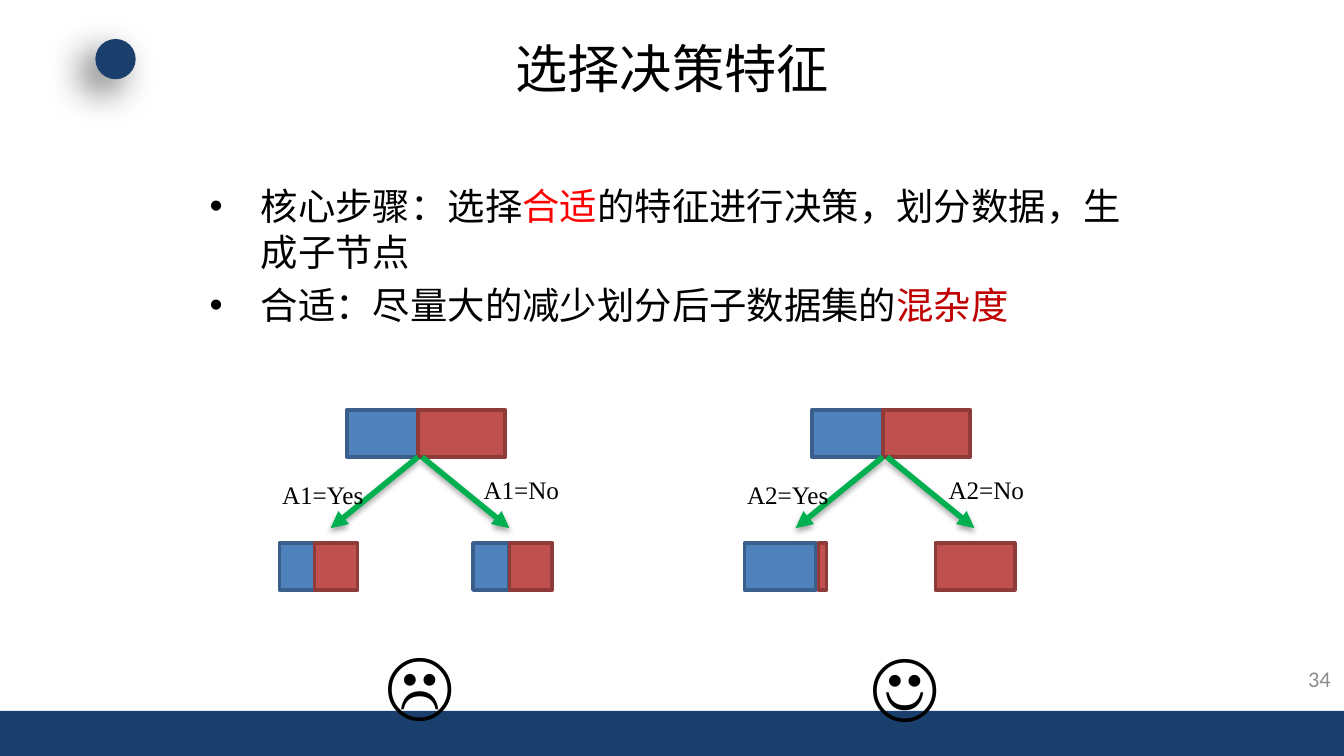
"""Build a slide on choosing the feature for a decision tree split."""
from dataclasses import dataclass

from lxml import etree
from pptx import Presentation
from pptx.dml.color import RGBColor
from pptx.enum.shapes import MSO_CONNECTOR, MSO_SHAPE
from pptx.enum.text import MSO_ANCHOR, MSO_AUTO_SIZE, PP_ALIGN
from pptx.oxml.ns import qn
from pptx.util import Inches, Pt

RECTANGLE, OVAL = MSO_SHAPE.RECTANGLE, MSO_SHAPE.OVAL
STRAIGHT = MSO_CONNECTOR.STRAIGHT
MIDDLE, TOP = MSO_ANCHOR.MIDDLE, MSO_ANCHOR.TOP
LEFT, CENTER, RIGHT = PP_ALIGN.LEFT, PP_ALIGN.CENTER, PP_ALIGN.RIGHT
NO_FIT = MSO_AUTO_SIZE.NONE
CELL = Inches(0.1)
COLUMNS, ROWS = 100, 56.25
BAR_ROWS = 3.5
CHINESE, LATIN, SERIF = "Noto Sans CJK SC", "Calibri", "Times New Roman"
COLORS = {
    "navy": "1A3F6C", "black": "000000", "grey": "8C8C8C",
    "bright red": "FF0000", "dark red": "C00000", "green": "00B050",
    "blue": "4F81BD", "blue edge": "3A5F8C",
    "red": "C0504D", "red edge": "8E3B39",
}


@dataclass(frozen=True)
class Area:
    column: float
    row: float
    columns: float
    rows: float

    def lengths(self) -> list[int]:
        return [round(n * CELL) for n in (self.column, self.row, self.columns, self.rows)]


@dataclass(frozen=True)
class Style:
    size: float
    font: str
    color: str = "black"
    align: PP_ALIGN = LEFT


@dataclass(frozen=True)
class Segment:
    color: str
    column: float
    columns: float


@dataclass(frozen=True)
class Shadow:
    blur: float
    distance: float
    degrees: int
    opacity: int


@dataclass(frozen=True)
class Tree:
    feature: str
    column: float
    children: tuple[Segment, ...]
    face: str
    face_area: Area


PARENT = (Segment("blue", 25.8, 5.3), Segment("red", 31.1, 6.5))
TREES = (
    Tree("A1", 0, (Segment("blue", 20.8, 2.7), Segment("red", 23.4, 3.2),
                   Segment("blue", 35.2, 2.7), Segment("red", 37.9, 3.2)),
         "☹", Area(27.7, 46.8, 6.8, 7.8)),
    Tree("A2", 34.6, (Segment("blue", 20.8, 5.3), Segment("red", 26.3, 0.6),
                      Segment("red", 35, 5.9)),
         "☺", Area(63.8, 46.9, 6.8, 7.8)),
)
BULLETS = (
    (("核心步骤：选择", "black"), ("合适", "bright red"),
     ("的特征进行决策，划分数据，生成子节点", "black")),
    (("合适：尽量大的减少划分后子数据集的", "black"), ("混杂度", "dark red")),
)


def rgb(name: str) -> RGBColor:
    return RGBColor.from_string(COLORS[name])


def add_shadow(shape, shadow: Shadow) -> None:
    effects = etree.SubElement(shape._element.spPr, qn("a:effectLst"))
    outer = etree.SubElement(
        effects, qn("a:outerShdw"), blurRad=str(Pt(shadow.blur)),
        dist=str(Pt(shadow.distance)), dir=str(shadow.degrees * 60000), rotWithShape="0")
    color = etree.SubElement(outer, qn("a:srgbClr"), val=COLORS["black"])
    etree.SubElement(color, qn("a:alpha"), val=str(shadow.opacity * 1000))


def add_block(page, kind: MSO_SHAPE, area: Area, fill: str, edge: str = ""):
    block = page.shapes.add_shape(kind, *area.lengths())
    block.fill.solid()
    block.fill.fore_color.rgb = rgb(fill)
    if edge:
        block.line.color.rgb = rgb(edge)
        block.line.width = Pt(2)
    else:
        block.line.fill.background()
    return block


def style_paragraph(para, style: Style) -> None:
    para.alignment = style.align
    para.font.size = Pt(style.size)
    para.font.name = style.font
    para.font.color.rgb = rgb(style.color)
    if style.font == CHINESE:
        defaults = para._p.pPr.find(qn("a:defRPr"))
        etree.SubElement(defaults, qn("a:ea"), typeface=style.font)


def place(box, area: Area, anchor: MSO_ANCHOR, wrap: bool) -> None:
    box.left, box.top, box.width, box.height = area.lengths()
    box.text_frame.word_wrap = wrap
    box.text_frame.auto_size = NO_FIT
    box.text_frame.vertical_anchor = anchor


def add_label(page, text: str, area: Area, style: Style, anchor: MSO_ANCHOR = TOP) -> None:
    box = page.shapes.add_textbox(*area.lengths())
    place(box, area, anchor, wrap=style.align == RIGHT)
    para = box.text_frame.paragraphs[0]
    para.text = text
    style_paragraph(para, style)


def add_arrow(page, start: float, end: float) -> None:
    ends = [round(n * CELL) for n in (start, 34, end, 39.3)]
    arrow = page.shapes.add_connector(STRAIGHT, *ends)
    arrow.line.color.rgb = rgb("green")
    arrow.line.width = Pt(3)
    etree.SubElement(arrow.line._get_or_add_ln(), qn("a:tailEnd"), type="triangle")
    add_shadow(arrow, Shadow(3.1, 1.8, 90, 35))


def add_segments(page, segments: tuple[Segment, ...], column: float, row: float) -> None:
    for segment in segments:
        area = Area(column + segment.column, row, segment.columns, BAR_ROWS)
        block = add_block(page, RECTANGLE, area, segment.color, f"{segment.color} edge")
        block.shadow.inherit = False


def add_tree(page, tree: Tree) -> None:
    label = Style(13.5, SERIF)
    add_segments(page, PARENT, tree.column, 30.5)
    add_arrow(page, tree.column + 31.1, tree.column + 24.6)
    add_arrow(page, tree.column + 31.4, tree.column + 37.9)
    add_segments(page, tree.children, tree.column, 40.4)
    add_label(page, f"{tree.feature}=Yes", Area(tree.column + 20, 35.2, 8.2, 3.3), label)
    add_label(page, f"{tree.feature}=No", Area(tree.column + 35, 34.8, 7.7, 3.3), label)
    add_label(page, tree.face, tree.face_area, Style(40.5, LATIN))


def fill_title(title) -> None:
    place(title, Area(5, 2.3, 90, 5.5), MIDDLE, wrap=True)
    para = title.text_frame.paragraphs[0]
    para.text = "选择决策特征"
    style_paragraph(para, Style(28, CHINESE, align=CENTER))


def fill_body(body) -> None:
    place(body, Area(14.6, 13.1, 71.2, 37.1), TOP, wrap=True)
    frame = body.text_frame
    for index, spans in enumerate(BULLETS):
        para = frame.add_paragraph() if index else frame.paragraphs[0]
        para.line_spacing = Pt(24.4)
        para.space_before = Pt(4 if index else 0)
        properties = para._p.get_or_add_pPr()
        properties.set("marL", str(Inches(0.38)))
        properties.set("indent", str(-Inches(0.38)))
        etree.SubElement(properties, qn("a:buFont"), typeface="Arial")
        etree.SubElement(properties, qn("a:buChar"), char="•")
        style_paragraph(para, Style(20, CHINESE))
        for text, color in spans:
            span = para.add_run()
            span.text = text
            span.font.color.rgb = rgb(color)


def main() -> None:
    deck = Presentation()
    deck.slide_width, deck.slide_height = round(COLUMNS * CELL), round(ROWS * CELL)
    page = deck.slides.add_slide(deck.slide_layouts[1])
    footer = add_block(page, RECTANGLE, Area(0, 52.9, COLUMNS, ROWS - 52.9), "navy")
    footer.shadow.inherit = False
    dot = add_block(page, OVAL, Area(7.1, 2.9, 3, 3), "navy")
    add_shadow(dot, Shadow(20, 10, 135, 60))
    fill_title(page.shapes.title)
    fill_body(page.placeholders[1])
    for tree in TREES:
        add_tree(page, tree)
    add_label(page, "34", Area(95.5, 49, 4.5, 3), Style(12, LATIN, "grey", RIGHT), MIDDLE)
    deck.save("out.pptx")


if __name__ == "__main__":
    main()
